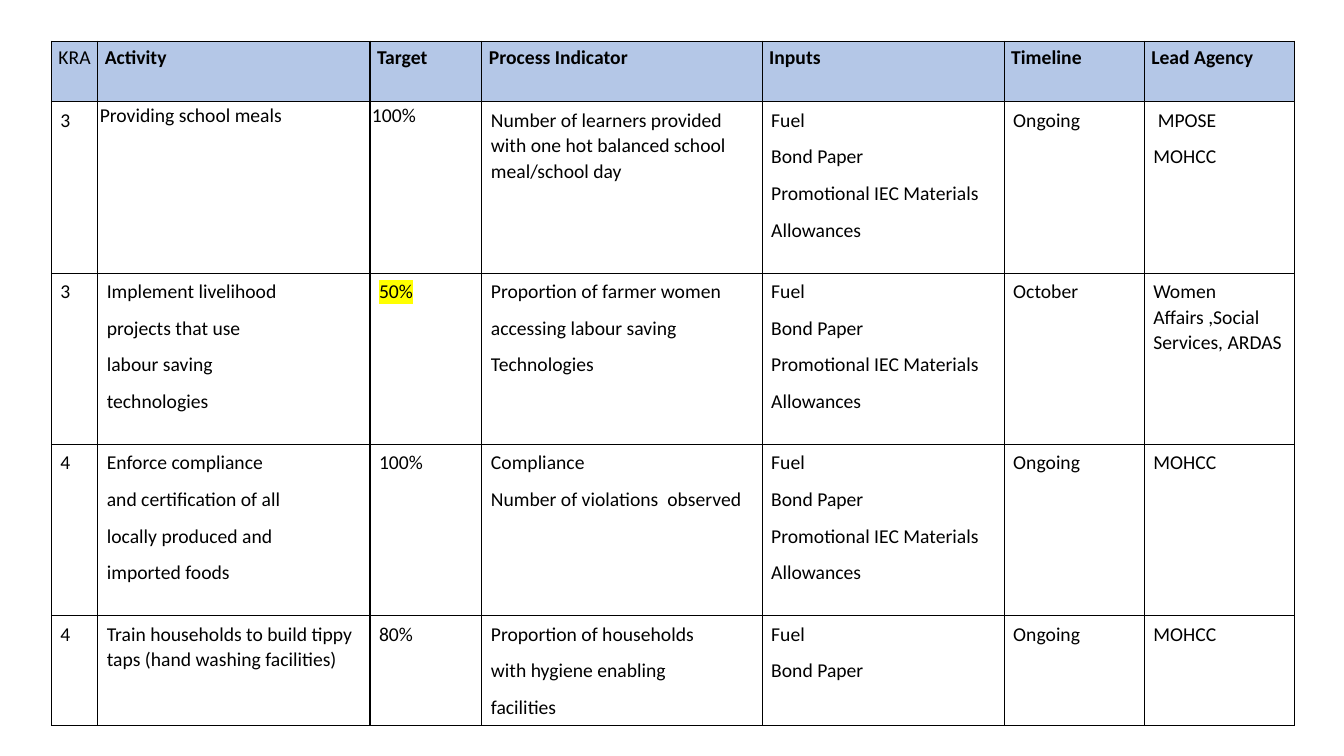
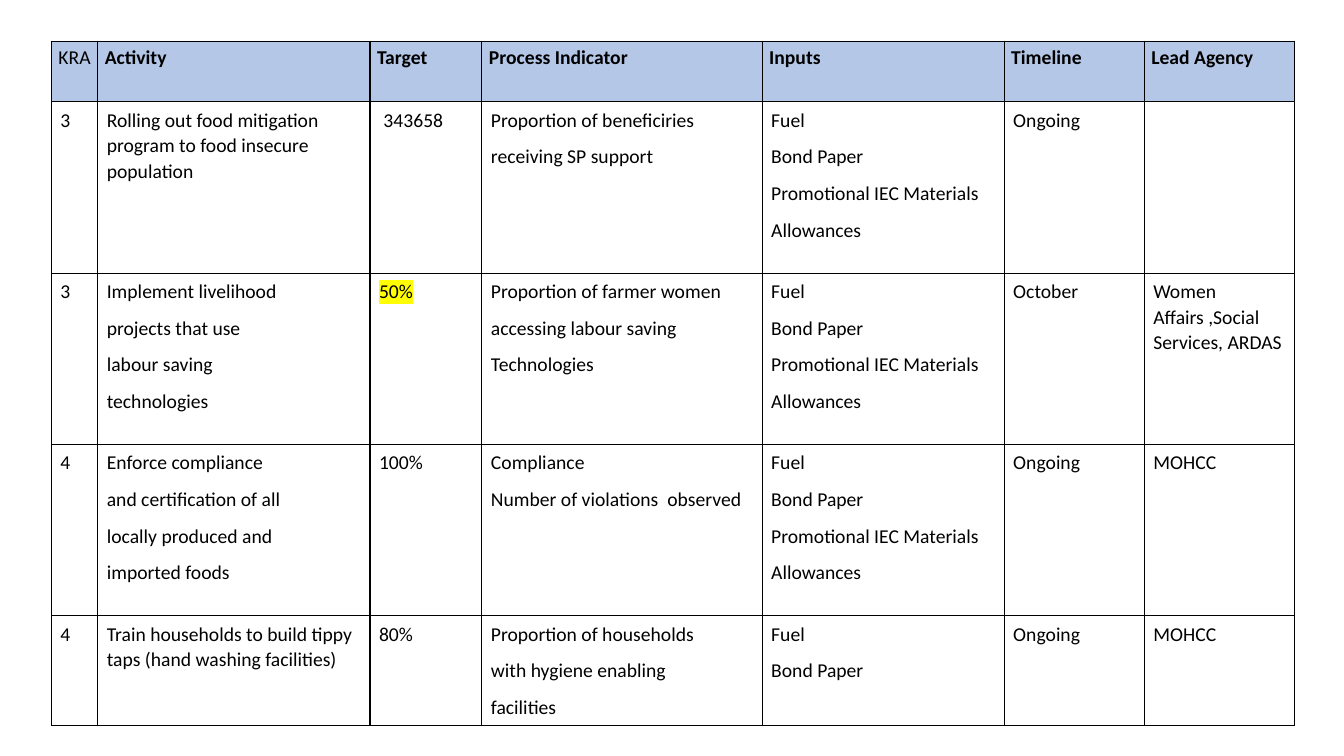
from dataclasses import dataclass, replace

from lxml.etree import SubElement
from pptx import Presentation
from pptx.dml.color import RGBColor
from pptx.oxml.ns import qn
from pptx.slide import Slide
from pptx.table import _Cell as Cell
from pptx.util import Inches, Pt

FONT, TEXT_SIZE = "Calibri", 14
BLACK, HEADER_BLUE, YELLOW = "000000", "B4C7E7", "FFFF00"
LEFT, TOP = 0.51, 0.41
COLUMN_WIDTHS = (0.46, 2.7, 1.11, 2.78, 2.4, 1.39, 1.49)
ROW_HEIGHTS = (0.6, 1.7, 1.7, 1.7, 1.09)
HEADINGS = ("KRA", "Activity", "Target", "Process Indicator", "Inputs", "Timeline", "Lead Agency")


@dataclass(frozen=True)
class CellStyle:
    side_margin: float = 0.09
    end_margin: float = 0.05
    space_after: int = 8
    bold: bool = False
    fill: str = ""
    highlight: str = ""


BODY = CellStyle()
HEADER = CellStyle(0.07, 0.03, bold=True, fill=HEADER_BLUE)
KRA_HEADER = replace(HEADER, bold=False)
TIGHT = CellStyle(0.02, 0, space_after=0)
HIGHLIGHTED = replace(BODY, highlight=YELLOW)


@dataclass(frozen=True)
class PlanRow:
    """One planned activity; a line break in a field starts a new paragraph."""
    kra: str
    activity: str
    target: str
    indicator: str
    inputs: str
    timeline: str
    agency: str
    activity_style: CellStyle = BODY
    target_style: CellStyle = BODY

    def cells(self) -> list[tuple[str, CellStyle]]:
        return [
            (self.kra, BODY), (self.activity, self.activity_style),
            (self.target, self.target_style), (self.indicator, BODY),
            (self.inputs, BODY), (self.timeline, BODY), (self.agency, BODY),
        ]


BASIC_INPUTS = "Fuel\nBond Paper"
FULL_INPUTS = BASIC_INPUTS + "\nPromotional IEC Materials\nAllowances"

SCHOOL_MEALS = PlanRow(
    "3", "Providing school meals", "100%",
    "Number of learners provided with one hot balanced school meal/school day",
    FULL_INPUTS, "Ongoing", " MPOSE\nMOHCC", TIGHT, TIGHT)
FOOD_MITIGATION = PlanRow(
    "3", "Rolling out food mitigation program to food insecure population", " 343658",
    "Proportion of beneficiries\nreceiving SP support", FULL_INPUTS, "Ongoing", "")
SHARED_ROWS = (
    PlanRow("3", "Implement livelihood\nprojects that use\nlabour saving\ntechnologies", "50%",
            "Proportion of farmer women\naccessing labour saving\nTechnologies",
            FULL_INPUTS, "October", "Women Affairs ,Social Services, ARDAS",
            target_style=HIGHLIGHTED),
    PlanRow("4", "Enforce compliance\nand certification of all\nlocally produced and\nimported foods",
            "100%", "Compliance\nNumber of violations  observed",
            FULL_INPUTS, "Ongoing", "MOHCC"),
    PlanRow("4", "Train households to build tippy taps (hand washing facilities)", "80%",
            "Proportion of households\nwith hygiene enabling\nfacilities",
            BASIC_INPUTS, "Ongoing", "MOHCC"),
)


def color(hex_code: str) -> RGBColor:
    return RGBColor.from_string(hex_code)


def add_borders(cell: Cell) -> None:
    properties = cell._tc.get_or_add_tcPr()
    for position, side in enumerate(("lnL", "lnR", "lnT", "lnB")):
        border = SubElement(properties, qn(f"a:{side}"), w=str(Pt(1)))
        line_fill = SubElement(border, qn("a:solidFill"))
        SubElement(line_fill, qn("a:srgbClr"), val=BLACK)
        properties.insert(position, border)


def write_cell(cell: Cell, text: str, style: CellStyle) -> None:
    cell.margin_left = cell.margin_right = Inches(style.side_margin)
    cell.margin_top = cell.margin_bottom = Inches(style.end_margin)
    if style.fill:
        cell.fill.solid()
        cell.fill.fore_color.rgb = color(style.fill)
    else:
        cell.fill.background()
    add_borders(cell)

    frame = cell.text_frame
    for index, line in enumerate(text.split("\n") if text else ()):
        paragraph = frame.add_paragraph() if index else frame.paragraphs[0]
        paragraph.line_spacing = 1.07
        paragraph.space_after = Pt(style.space_after)
        run = paragraph.add_run()
        run.text = line
        run.font.name, run.font.size = FONT, Pt(TEXT_SIZE)
        run.font.bold = style.bold
        run.font.color.rgb = color(BLACK)
        if style.highlight:
            properties = run.font._element
            highlight = SubElement(properties, qn("a:highlight"))
            SubElement(highlight, qn("a:srgbClr"), val=style.highlight)
            properties.find(qn("a:solidFill")).addnext(highlight)


def add_plan_table(slide: Slide, plan_rows: tuple[PlanRow, ...]) -> None:
    table = slide.shapes.add_table(
        len(ROW_HEIGHTS), len(COLUMN_WIDTHS), Inches(LEFT), Inches(TOP),
        Inches(sum(COLUMN_WIDTHS)), Inches(sum(ROW_HEIGHTS))).table
    table.first_row = table.horz_banding = False
    for column, width in zip(table.columns, COLUMN_WIDTHS):
        column.width = Inches(width)
    for row, height in zip(table.rows, ROW_HEIGHTS):
        row.height = Inches(height)

    header = [(heading, HEADER if index else KRA_HEADER) for index, heading in enumerate(HEADINGS)]
    contents = [header] + [plan_row.cells() for plan_row in plan_rows]
    for row, row_contents in zip(table.rows, contents):
        for cell, (text, style) in zip(row.cells, row_contents):
            write_cell(cell, text, style)


def main() -> None:
    presentation = Presentation()
    presentation.slide_width, presentation.slide_height = Inches(13.33), Inches(7.5)
    blank_layout = presentation.slide_layouts[6]
    for first_row in (SCHOOL_MEALS, FOOD_MITIGATION):
        add_plan_table(presentation.slides.add_slide(blank_layout), (first_row, *SHARED_ROWS))
    presentation.save("out.pptx")


if __name__ == "__main__":
    main()
